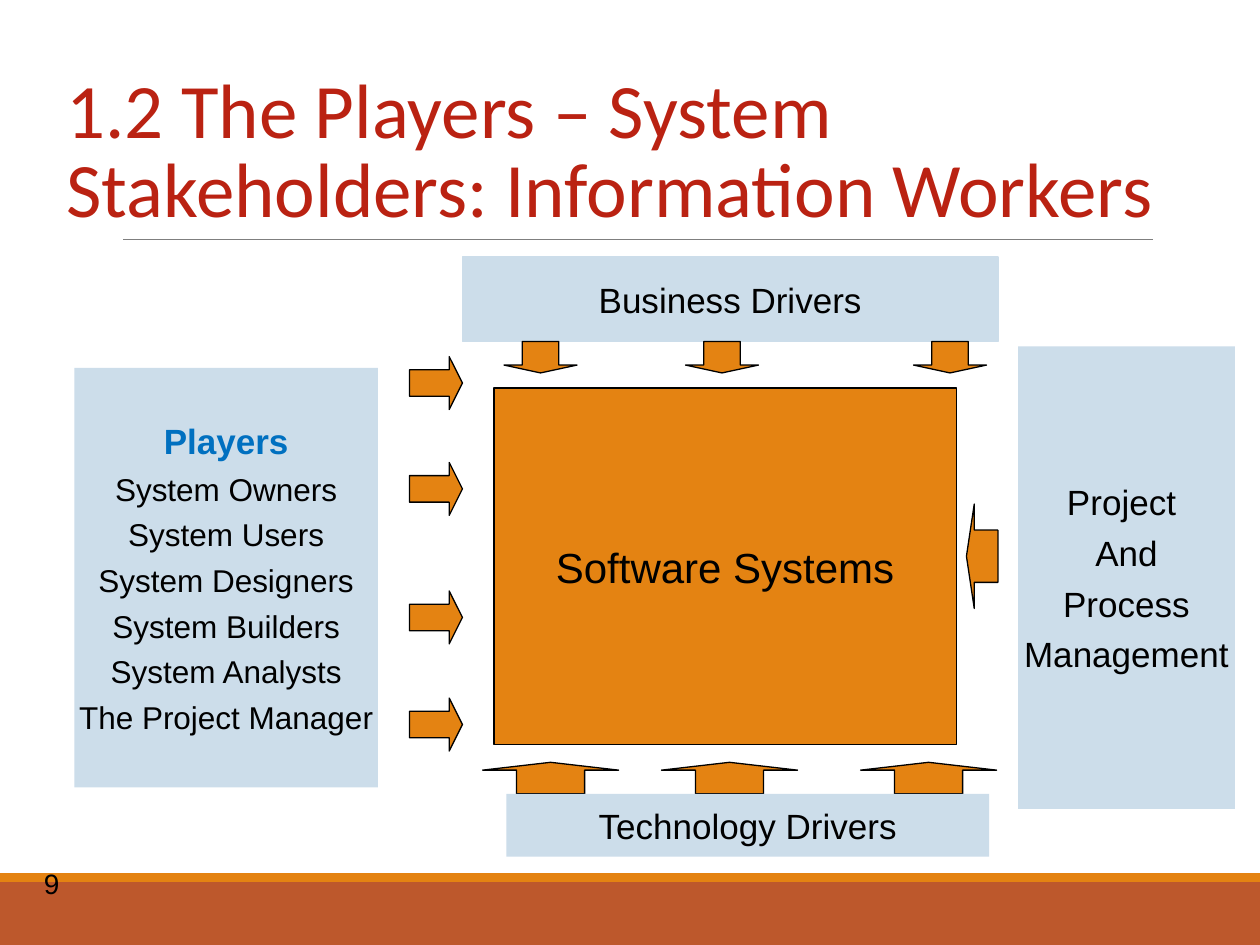
"""Build the slide on information workers as system stakeholders."""
import pptx
import pptx.dml.color
import pptx.enum.shapes
import pptx.enum.text
import pptx.util
from lxml import etree

Inches, Pt = pptx.util.Inches, pptx.util.Pt
SHAPE = pptx.enum.shapes.MSO_SHAPE
ANCHOR = pptx.enum.text.MSO_ANCHOR
CENTER = pptx.enum.text.PP_ALIGN.CENTER

ORANGE, RUST, PALE, BLACK = "E48312", "BD582C", "CCDDEA", "000000"
RED, BLUE, GRAY = "BA2212", "0070C0", "7F7F7F"

TITLE = "1.2 The Players – System Stakeholders: Information Workers"
BANDS = [((0, 7, 10, 0.5), RUST), ((0, 6.93, 10, 0.07), ORANGE)]
BUSINESS = ((3.67, 2.04, 4.25, 0.67), PALE, PALE, 20, ["Business Drivers"])
BOXES = [
    ((3.92, 3.08, 3.67, 2.83), ORANGE, BLACK, 24, ["Software Systems"]),
    ((8.08, 2.75, 1.72, 3.67), PALE, None, 20,
     ["Project ", "And", "Process", "Management"]),
    ((4.02, 6.3, 3.83, 0.5), PALE, None, 20, ["Technology Drivers"]),
]
PLAYERS_BOX = ((0.59, 2.92, 2.41, 3.33), PALE, None, 18, [
    "Players", "System Owners", "System Users", "System Designers",
    "System Builders", "System Analysts", "The Project Manager"])
ARROWS = [
    (SHAPE.RIGHT_ARROW, (0.42, 0.42), [(3.25, y) for y in (2.83, 3.67, 4.69, 5.54)]),
    (SHAPE.DOWN_ARROW, (0.58, 0.25), [(x, 2.71) for x in (4, 5.44, 7.25)]),
    (SHAPE.LEFT_ARROW, (0.25, 0.83), [(7.67, 4)]),
    (SHAPE.UP_ARROW, (1.08, 0.25), [(x, 6.05) for x in (3.83, 5.25, 6.83)]),
]


def rgb(color):
    return pptx.dml.color.RGBColor.from_string(color)


def style_font(p, size, color, name="Arial", bold=False):
    for r in p.runs:
        r.font.size, r.font.name, r.font.bold = Pt(size), name, bold
        r.font.color.rgb = rgb(color)


def add_shape(s, kind, at, fill, line=None):
    sp = s.shapes.add_shape(kind, *map(Inches, at))
    sp.shadow.inherit = False
    sp.fill.solid()
    sp.fill.fore_color.rgb = rgb(fill)
    if line:
        sp.line.color.rgb = rgb(line)
        sp.line.width = Pt(0.75)
    else:
        sp.line.fill.background()
    return sp


def add_box(s, at, fill, line, size, lines):
    tf = add_shape(s, SHAPE.RECTANGLE, at, fill, line).text_frame
    tf.text = "\n".join(lines)
    tf.word_wrap = False
    tf.vertical_anchor = ANCHOR.MIDDLE
    for i, p in enumerate(tf.paragraphs):
        p.alignment = CENTER
        if i:
            p.space_before = Pt(size / 4)
        style_font(p, size, BLACK)
    return tf


def add_text(s, at, text, size, color, name):
    tf = s.shapes.add_textbox(*map(Inches, at)).text_frame
    tf.text = text
    tf.word_wrap = True
    style_font(tf.paragraphs[0], size, color, name)
    return tf


def add_rule(s, x1, x2, y):
    c = s.shapes.add_connector(pptx.enum.shapes.MSO_CONNECTOR.STRAIGHT,
                               Inches(x1), Inches(y), Inches(x2), Inches(y))
    c.line.color.rgb = rgb(GRAY)
    c.line.width = Pt(0.5)
    sp_pr = c.line._get_or_add_ln().getparent()
    etree.SubElement(sp_pr, pptx.oxml.ns.qn("a:effectLst"))


def main():
    prs = pptx.Presentation()
    prs.slide_width, prs.slide_height = Inches(10), Inches(7.5)
    s = prs.slides.add_slide(prs.slide_layouts[6])

    for at, fill in BANDS:
        add_shape(s, SHAPE.RECTANGLE, at, fill)
    add_rule(s, 0.98, 9.15, 1.9)
    add_text(s, (0.25, 6.83, 0.83, 0.37), "9", 16, BLACK, "Arial")
    tf = add_text(s, (0.43, 0.31, 9.25, 1.59), TITLE, 44, RED, "Calibri")
    tf.vertical_anchor = ANCHOR.BOTTOM
    tf.paragraphs[0].line_spacing = 0.85

    add_box(s, *BUSINESS)
    for kind, size, places in ARROWS:
        for place in places:
            sp = add_shape(s, kind, place + size, ORANGE, BLACK)
            sp.adjustments[0], sp.adjustments[1] = 0.5, 0.25
    for box in BOXES:
        add_box(s, *box)
    players = add_box(s, *PLAYERS_BOX)
    style_font(players.paragraphs[0], 20, BLUE, bold=True)

    prs.save("out.pptx")


if __name__ == "__main__":
    main()
